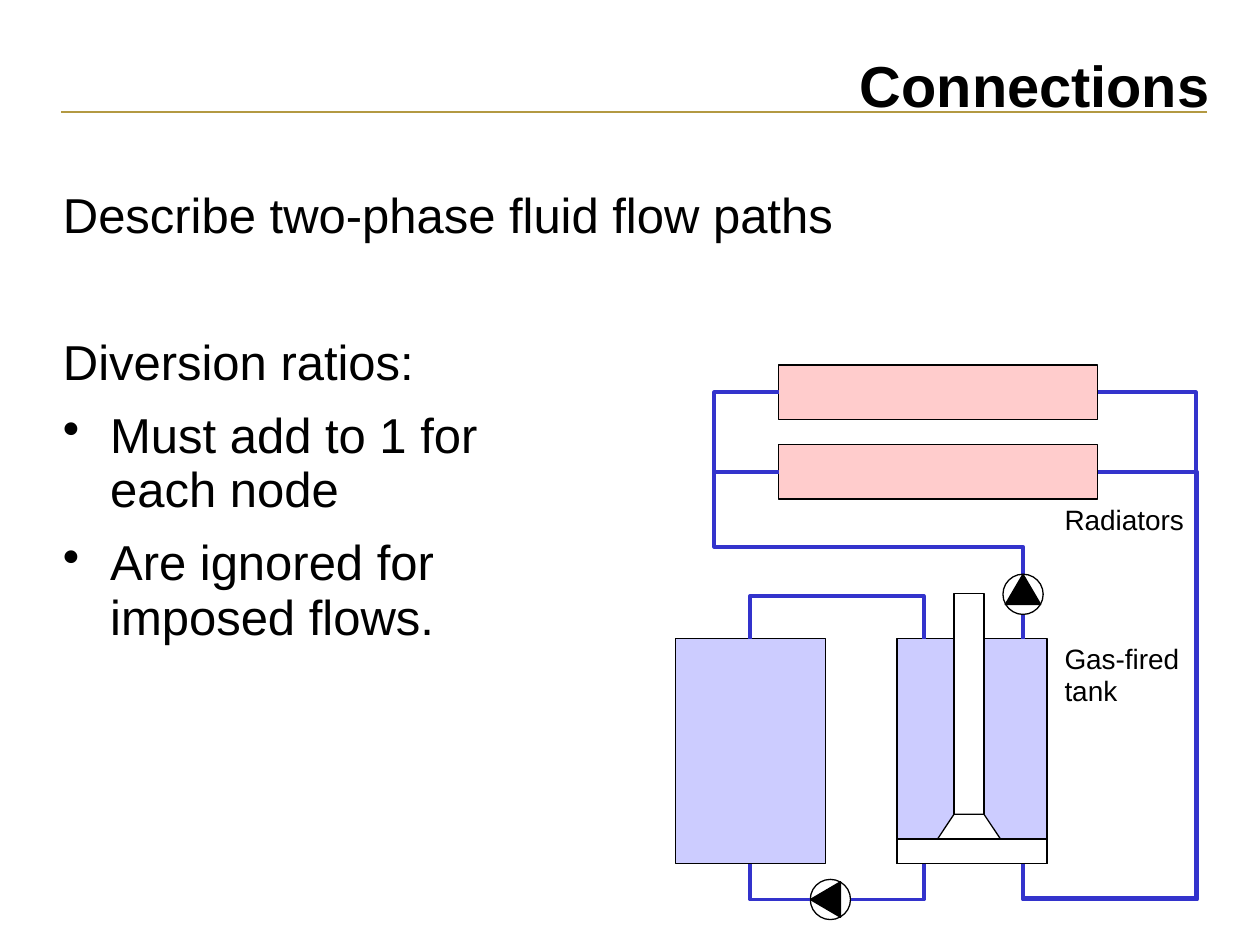
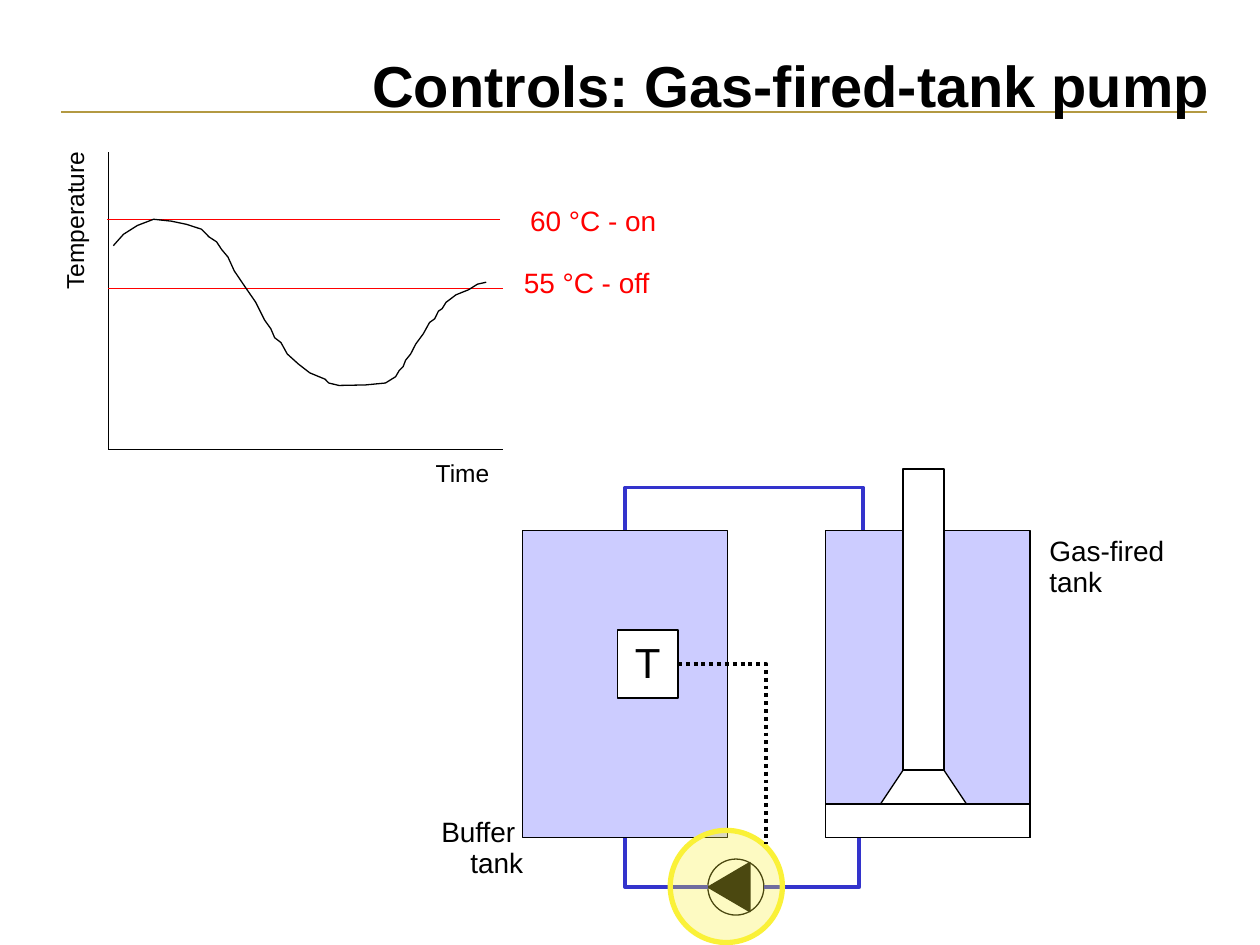
from dataclasses import dataclass

from lxml import etree
from pptx import Presentation
from pptx.dml.color import RGBColor
from pptx.enum.dml import MSO_LINE
from pptx.enum.shapes import MSO_CONNECTOR, MSO_SHAPE
from pptx.enum.text import MSO_ANCHOR, PP_ALIGN
from pptx.oxml.ns import qn
from pptx.shapes.autoshape import Shape
from pptx.shapes.connector import Connector
from pptx.slide import Slide
from pptx.util import Pt

RECTANGLE = MSO_SHAPE.RECTANGLE
OVAL = MSO_SHAPE.OVAL
TRIANGLE = MSO_SHAPE.ISOSCELES_TRIANGLE
STRAIGHT = MSO_CONNECTOR.STRAIGHT
LEFT, CENTER, RIGHT = PP_ALIGN.LEFT, PP_ALIGN.CENTER, PP_ALIGN.RIGHT
TOP, MIDDLE = MSO_ANCHOR.TOP, MSO_ANCHOR.MIDDLE
DOTTED = MSO_LINE.ROUND_DOT

Point = tuple[float, float]


@dataclass(frozen=True)
class Theme:
    font: str = "Arial"
    black: str = "000000"
    white: str = "FFFFFF"
    gold: str = "B39942"
    water: str = "CCCCFF"
    heat: str = "FFCCCC"
    pipe: str = "3333CC"
    limit: str = "FF0000"
    halo: str = "FAF138"
    title_size: float = 33
    body_size: float = 28
    sensor_size: float = 24
    label_size: float = 16
    axis_size: float = 14
    title_spacing: float = 0.84
    text_spacing: float = 0.93
    thin: float = 0.75
    rule: float = 1.5
    thick: float = 2.25
    halo_line: float = 3


@dataclass(frozen=True)
class Frame:
    x: float
    y: float
    width: float
    height: float

    @property
    def right(self) -> float:
        return self.x + self.width

    @property
    def bottom(self) -> float:
        return self.y + self.height

    @property
    def center(self) -> Point:
        return self.x + self.width / 2, self.y + self.height / 2

    def portion(self, x: float, y: float, width: float, height: float) -> "Frame":
        return Frame(self.x + x * self.width, self.y + y * self.height,
                     width * self.width, height * self.height)

    def points(self) -> list[Pt]:
        return [Pt(value) for value in (self.x, self.y, self.width, self.height)]


@dataclass(frozen=True)
class Pump:
    x: float
    y: float
    size: float
    upward: bool = False


@dataclass(frozen=True)
class TankLoop:
    buffer: Frame
    gas: Frame
    pump: Pump
    flow_x: float
    return_x: float
    rise: float = 24.5


@dataclass(frozen=True)
class Label:
    text: str
    frame: Frame
    size: float
    color: str
    align: PP_ALIGN = LEFT
    rotation: float = 0


THEME = Theme()

CONNECTION_LABELS = [
    Label("Radiators", Frame(601.2, 285.1, 82.8, 25.2), THEME.label_size, THEME.black),
    Label("Gas-fired\vtank", Frame(601.2, 365, 79.9, 43.2), THEME.label_size, THEME.black),
]
CONTROL_LABELS = [
    Label("Buffer \ntank", Frame(244.8, 463.7, 61.2, 43.2), THEME.label_size, THEME.black, RIGHT),
    Label("Gas-fired\vtank", Frame(592.6, 303.1, 79.9, 43.2), THEME.label_size, THEME.black),
    Label("60 °C - on", Frame(295.9, 114.5, 86.4, 25.2), THEME.label_size, THEME.limit),
    Label("55 °C - off", Frame(292.3, 149.8, 86.4, 25.2), THEME.label_size, THEME.limit),
    Label("Temperature", Frame(-3.6, 113.8, 94.3, 23), THEME.axis_size, THEME.black, rotation=270),
    Label("Time", Frame(241.9, 259.9, 45.4, 23), THEME.axis_size, THEME.black),
]
TEMPERATURE_CURVE = [
    (64.8, 140.4), (70.6, 133.9), (78.5, 128.9), (87.8, 125.3), (97.9, 126.4),
    (106.6, 128.2), (115.2, 131), (119.5, 135.4), (123.8, 138.2), (126.7, 142.6),
    (130.3, 146.9), (133.9, 154.8), (139.7, 163.4), (146.2, 172.8), (151.2, 182.9),
    (154.8, 187.9), (157, 193), (160.6, 195.8), (164.2, 202.3), (170.6, 208.1),
    (177.1, 213.1), (185.8, 216.7), (187.9, 218.9), (193.7, 220.3), (208.8, 220),
    (220.3, 218.9), (226.1, 215.3), (228.2, 211.7), (230.4, 209.5), (231.8, 205.9),
    (234.7, 202.3), (237.6, 196.6), (241.9, 190.8), (245.5, 184.3), (248.4, 182.2),
    (250.6, 177.8), (252.7, 176.4), (254.9, 172.8), (260.6, 168.5), (267.8, 165.6),
    (272.9, 162.4), (277.9, 161.3),
]


def rgb(color: str) -> RGBColor:
    return RGBColor.from_string(color)


def style(shape: Shape, fill: str | None, line: str, weight: float) -> None:
    shape.shadow.inherit = False
    if fill:
        shape.fill.solid()
        shape.fill.fore_color.rgb = rgb(fill)
    else:
        shape.fill.background()
    shape.line.color.rgb = rgb(line)
    shape.line.width = Pt(weight)


def add_form(slide: Slide, kind: MSO_SHAPE, frame: Frame, fill: str,
             line: str = THEME.black, weight: float = THEME.thin) -> Shape:
    shape = slide.shapes.add_shape(kind, *frame.points())
    style(shape, fill, line, weight)
    return shape


def add_outline(slide: Slide, points: list[Point], line: str, weight: float,
                fill: str | None = None) -> Shape:
    start, *rest = [(Pt(x), Pt(y)) for x, y in points]
    builder = slide.shapes.build_freeform(*start)
    builder.add_line_segments(rest, close=fill is not None)
    shape = builder.convert_to_shape()
    style(shape, fill, line, weight)
    return shape


def add_pipe(slide: Slide, *points: Point) -> None:
    add_outline(slide, list(points), THEME.pipe, THEME.thick)


def add_line(slide: Slide, start: Point, end: Point, color: str, weight: float) -> Connector:
    line = slide.shapes.add_connector(STRAIGHT, *(Pt(value) for value in start + end))
    line.line.color.rgb = rgb(color)
    line.line.width = Pt(weight)
    etree.SubElement(line._element.spPr, qn("a:effectLst"))
    return line


def write(shape: Shape, text: str, size: float, color: str = THEME.black,
          align: PP_ALIGN = LEFT, spacing: float = THEME.text_spacing,
          bold: bool = False) -> None:
    frame = shape.text_frame
    for index, line in enumerate(text.split("\n")):
        para = frame.add_paragraph() if index else frame.paragraphs[0]
        para.text = line
        para.alignment = align
        para.line_spacing = spacing
        para.font.name = THEME.font
        para.font.size = Pt(size)
        para.font.bold = bold
        para.font.color.rgb = rgb(color)


def add_placed_text(slide: Slide, frame: Frame, anchor: MSO_ANCHOR) -> Shape:
    box = slide.shapes.add_textbox(*frame.points())
    area = box.text_frame
    area.word_wrap = True
    area.vertical_anchor = anchor
    area.margin_left = area.margin_right = area.margin_top = area.margin_bottom = 0
    return box


def add_label(slide: Slide, label: Label) -> None:
    box = slide.shapes.add_textbox(*label.frame.points())
    box.text_frame.word_wrap = False
    box.rotation = label.rotation
    write(box, label.text, label.size, label.color, label.align)


def add_page(deck: Presentation, title: str) -> Slide:
    slide = deck.slides.add_slide(deck.slide_layouts[6])
    add_line(slide, (689.8, 64), (34.6, 64), THEME.gold, THEME.rule)
    box = add_placed_text(slide, Frame(36, 33.8, 655.2, 35.3), MIDDLE)
    write(box, title, THEME.title_size, align=RIGHT, spacing=THEME.title_spacing, bold=True)
    return slide


def add_body(slide: Slide, lines: list[str], bullets: list[str]) -> None:
    box = add_placed_text(slide, Frame(36, 108.7, 592.6, 412.6), TOP)
    write(box, "\n".join(lines + bullets), THEME.body_size)
    paragraphs = box.text_frame.paragraphs
    for para in paragraphs:
        para.space_before = Pt(10.5)
    paragraphs[1].space_before = Pt(52.2)
    for para in paragraphs[len(lines):]:
        properties = para._p.get_or_add_pPr()
        properties.set("marL", str(Pt(27)))
        properties.set("indent", str(-Pt(27)))
        etree.SubElement(properties, qn("a:buChar")).set("char", "•")
        properties.append(properties.find(qn("a:defRPr")))


def add_pump(slide: Slide, pump: Pump) -> None:
    size = pump.size
    add_form(slide, OVAL, Frame(pump.x - size / 2, pump.y - size / 2, size, size), THEME.white)
    width, height = 0.88 * size, 0.75 * size
    shift = (size - height) / 2
    x, y = (pump.x, pump.y - shift) if pump.upward else (pump.x - shift, pump.y)
    arrow = add_form(slide, TRIANGLE, Frame(x - width / 2, y - height / 2, width, height),
                     THEME.black)
    arrow.rotation = 0 if pump.upward else 270


def add_gas_tank(slide: Slide, tank: Frame) -> None:
    add_form(slide, RECTANGLE, tank, THEME.water)
    flue = tank.portion(0.38, -0.2, 0.2, 0.98)
    base = tank.portion(0, 0.89, 1, 0.11)
    burner = tank.portion(0.27, 0.78, 0.42, 0.11)
    add_form(slide, RECTANGLE, flue, THEME.white)
    add_outline(slide, [(burner.x, burner.bottom), (flue.x, burner.y),
                        (flue.right, burner.y), (burner.right, burner.bottom)],
                THEME.black, THEME.thin, THEME.white)
    add_form(slide, RECTANGLE, base, THEME.white)


def add_tank_loop(slide: Slide, loop: TankLoop) -> None:
    tank, pump = loop.buffer, loop.pump
    middle, radius = tank.center[0], pump.size / 2
    crest = tank.y - loop.rise
    add_form(slide, RECTANGLE, tank, THEME.water)
    add_gas_tank(slide, loop.gas)
    add_pump(slide, pump)
    add_pipe(slide, (pump.x - radius, pump.y), (middle, pump.y), (middle, tank.bottom))
    add_pipe(slide, (loop.return_x, tank.bottom), (loop.return_x, pump.y),
             (pump.x + radius, pump.y))
    add_pipe(slide, (loop.flow_x, tank.y), (loop.flow_x, crest), (middle, crest),
             (middle, tank.y))


def add_radiator_circuit(slide: Slide, gas: Frame) -> None:
    pump = Pump(584.6, 339.6, 23, upward=True)
    supply_x, supply_y = 408.2, 312.5
    upper, lower = [Frame(445, y, 182.3, 31) for y in (208.6, 254.2)]
    for radiator, return_x, return_y in ((upper, 683.3, 513.4), (lower, 684, 514)):
        shape = add_form(slide, RECTANGLE, radiator, THEME.heat)
        level = radiator.center[1]
        add_pipe(slide, (radiator.right, level), (return_x, level), (return_x, return_y),
                 (pump.x, return_y), (pump.x, gas.bottom))
    branch = add_line(slide, (lower.x, level), (supply_x, level), THEME.pipe, THEME.thick)
    branch.begin_connect(shape, 1)
    top = upper.center[1]
    add_pipe(slide, (upper.x, top), (supply_x, top), (supply_x, supply_y),
             (pump.x, supply_y), (pump.x, pump.y - pump.size / 2))
    add_line(slide, (pump.x, pump.y + pump.size / 2), (pump.x, gas.y), THEME.pipe, THEME.thick)
    add_pump(slide, pump)


def add_temperature_sketch(slide: Slide) -> None:
    origin = (61.9, 257)
    add_line(slide, (origin[0], 87.1), origin, THEME.black, THEME.thin)
    add_line(slide, origin, (287.3, origin[1]), THEME.black, THEME.thin)
    for left, right, level in ((61.2, 285.8, 125.3), (61.9, 287.3, 164.9)):
        add_line(slide, (right, level), (left, level), THEME.limit, THEME.thin)
    add_outline(slide, TEMPERATURE_CURVE, THEME.black, THEME.thin)


def add_pump_control(slide: Slide) -> None:
    halo = add_form(slide, OVAL, Frame(383, 474.5, 64.1, 64.1), THEME.halo,
                    THEME.halo, THEME.halo_line)
    color = halo._element.spPr.find(qn("a:solidFill"))[0]
    etree.SubElement(color, qn("a:alpha")).set("val", "30000")
    frame = Frame(352.8, 360, 34.6, 38.9)
    sensor = add_form(slide, RECTANGLE, frame, THEME.white)
    sensor.text_frame.word_wrap = False
    sensor.text_frame.vertical_anchor = MIDDLE
    write(sensor, "T", THEME.sensor_size, align=CENTER)
    level = frame.center[1]
    signal = add_outline(slide, [(frame.right, level), (437.8, level), (437.8, 482.4)],
                         THEME.black, THEME.thick)
    signal.line.dash_style = DOTTED


def build_connections(deck: Presentation) -> None:
    slide = add_page(deck, "Connections")
    add_body(slide, ["Describe two-phase fluid flow paths", "Diversion ratios:"],
             ["Must add to 1 for\veach node", "Are ignored for\vimposed flows."])
    gas = Frame(512.6, 365, 85.7, 128.6)
    add_tank_loop(slide, TankLoop(Frame(385.9, 365, 85.7, 128.6), gas,
                                  Pump(474.5, 514, 23), 527.8, 527.8))
    add_radiator_circuit(slide, gas)
    for label in CONNECTION_LABELS:
        add_label(slide, label)


def build_controls(deck: Presentation) -> None:
    slide = add_page(deck, "Controls: Gas-fired-tank pump")
    add_tank_loop(slide, TankLoop(Frame(298.8, 303.1, 117, 175.7), Frame(471.6, 303.1, 117, 175.7),
                                  Pump(420.5, 506.9, 32), 493.2, 491))
    add_pump_control(slide)
    add_temperature_sketch(slide)
    for label in CONTROL_LABELS:
        add_label(slide, label)


def main() -> None:
    deck = Presentation()
    deck.slide_width, deck.slide_height = Pt(720), Pt(540)
    build_connections(deck)
    build_controls(deck)
    deck.save("out.pptx")


if __name__ == "__main__":
    main()
